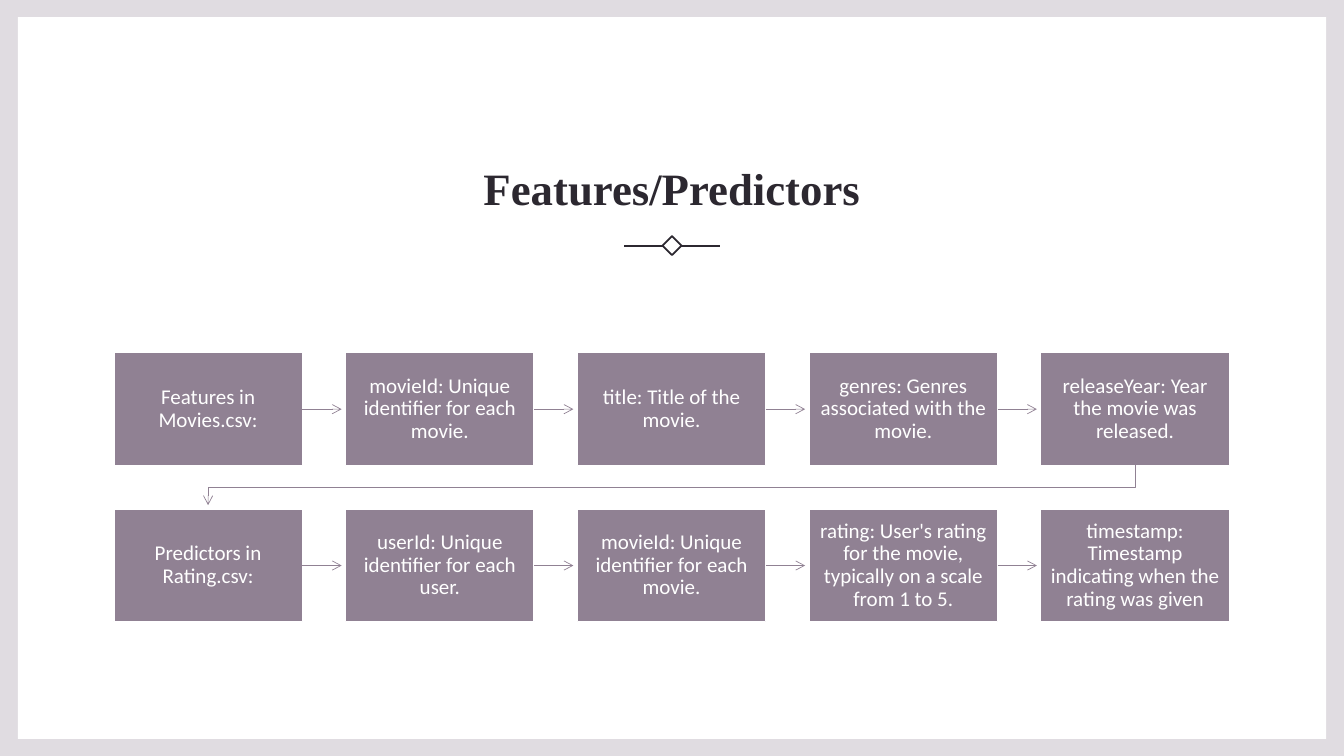
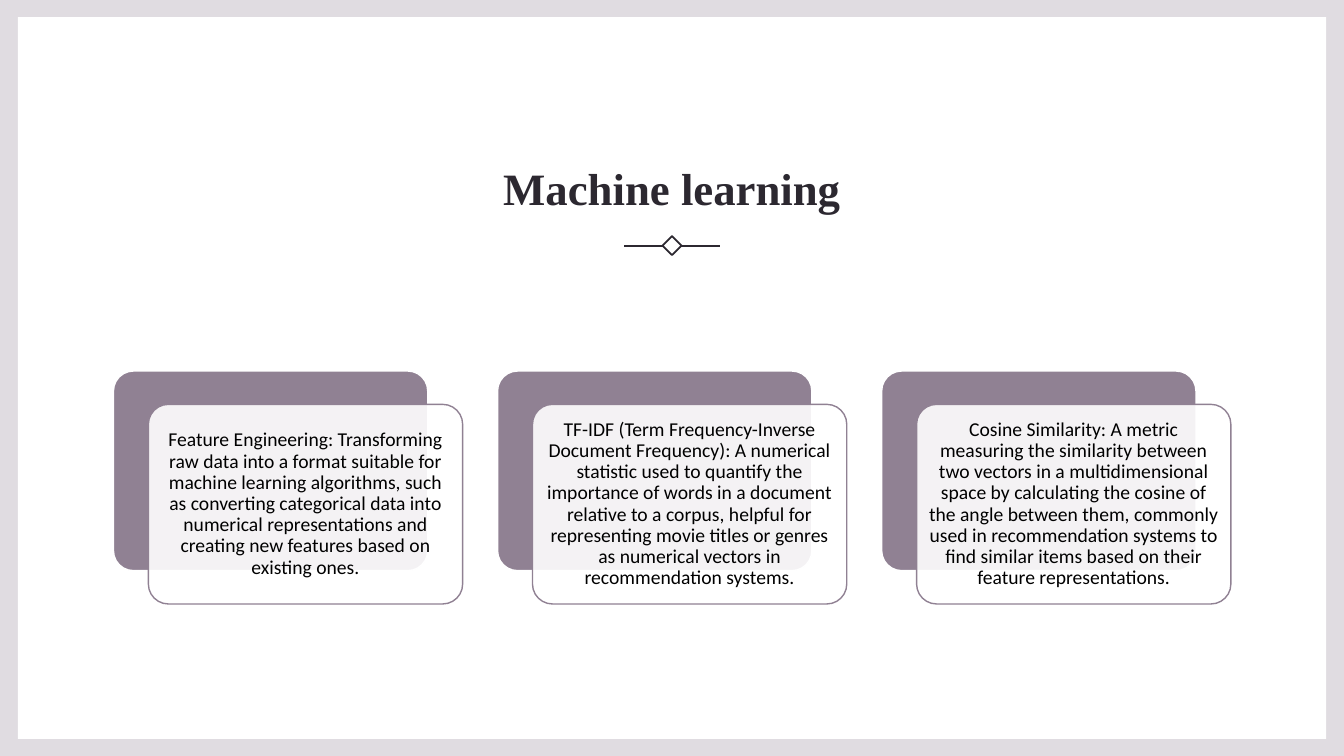
from dataclasses import dataclass

import lxml.etree
import pptx
import pptx.dml.color
import pptx.enum.shapes
import pptx.enum.text
import pptx.oxml.ns
import pptx.util

Cm = pptx.util.Cm
Pt = pptx.util.Pt
RGB = pptx.dml.color.RGBColor.from_string
SHAPE = pptx.enum.shapes.MSO_SHAPE
ANCHOR = pptx.enum.text.MSO_ANCHOR
qn = pptx.oxml.ns.qn


@dataclass(frozen=True)
class Theme:
    frame: str = "E0DCE1"
    paper: str = "FFFFFF"
    ink: str = "2C2830"
    accent: str = "908193"
    card_text: str = "000000"
    title_font: str = "Times New Roman"
    body_font: str = "Calibri"
    title_size: float = 32
    step_size: float = 15
    card_size: float = 14
    ornament_line: float = 1.25
    outline: float = 1
    arrow_line: float = 0.5


THEME = Theme()
WIDTH, HEIGHT = 33.87, 19.05
LEFT = 2.87

FEATURE_ROWS = [
    [
        "Features in Movies.csv:",
        "movieId: Unique identifier for each movie.",
        "title: Title of the movie.",
        "genres: Genres associated with the movie.",
        "releaseYear: Year the movie was released.",
    ],
    [
        "Predictors in Rating.csv:",
        "userId: Unique identifier for each user.",
        "movieId: Unique identifier for each movie.",
        "rating: User's rating for the movie, typically on a scale from 1 to 5.",
        "timestamp: Timestamp indicating when the rating was given",
    ],
]
METHODS = [
    "Feature Engineering: Transforming raw data into a format suitable for "
    "machine learning algorithms, such as converting categorical data into "
    "numerical representations and creating new features based on existing ones.",
    "TF-IDF (Term Frequency-Inverse Document Frequency): A numerical statistic "
    "used to quantify the importance of words in a document relative to a corpus, "
    "helpful for representing movie titles or genres as numerical vectors in "
    "recommendation systems.",
    "Cosine Similarity: A metric measuring the similarity between two vectors in "
    "a multidimensional space by calculating the cosine of the angle between them, "
    "commonly used in recommendation systems to find similar items based on their "
    "feature representations.",
]


def set_line(line, color, width):
    line.color.rgb = RGB(color)
    line.width = Pt(width)


def add_box(slide, kind, x, y, w, h, fill=None, line=None, width=THEME.outline):
    sp = slide.shapes.add_shape(kind, Cm(x), Cm(y), Cm(w), Cm(h))
    sp.shadow.inherit = False
    if fill:
        sp.fill.solid()
        sp.fill.fore_color.rgb = RGB(fill)
    else:
        sp.fill.background()
    if line:
        set_line(sp.line, line, width)
    else:
        sp.line.fill.background()
    return sp


def write(sp, text, font, size, color, spacing, margins, anchor=ANCHOR.MIDDLE, bold=False):
    """Fill a shape with one centred paragraph; margins are (side, top and bottom) in cm."""
    tf = sp.text_frame
    tf.word_wrap = True
    tf.vertical_anchor = anchor
    tf.margin_left = tf.margin_right = Cm(margins[0])
    tf.margin_top = tf.margin_bottom = Cm(margins[1])
    p = tf.paragraphs[0]
    p.text = text
    p.alignment = pptx.enum.text.PP_ALIGN.CENTER
    p.line_spacing = spacing
    p.font.name = font
    p.font.size = Pt(size)
    p.font.bold = bold
    p.font.color.rgb = RGB(color)


def add_line(slide, x1, y1, x2, y2, color, width):
    line = slide.shapes.add_connector(
        pptx.enum.shapes.MSO_CONNECTOR.STRAIGHT, Cm(x1), Cm(y1), Cm(x2), Cm(y2)
    )
    set_line(line.line, color, width)
    lxml.etree.SubElement(line._element.spPr, qn("a:effectLst"))
    return line


def add_arrowhead(sp):
    ln = sp.line._get_or_add_ln()
    lxml.etree.SubElement(ln, qn("a:tailEnd"), type="arrow")


def set_alpha(sp, percent):
    color = sp._element.spPr.find(qn("a:solidFill"))[0]
    lxml.etree.SubElement(color, qn("a:alpha"), val=str(percent * 1000))


def add_ornament(slide):
    """Draw the small diamond between two short rules below the title."""
    cx, cy, side = WIDTH / 2, 6.19, 0.34
    diamond = add_box(slide, SHAPE.RECTANGLE, cx - side / 2, cy - side / 2, side, side,
                      line=THEME.ink, width=THEME.ornament_line)
    diamond.rotation = 45
    for sign in (1, -1):
        add_line(slide, cx + sign * 0.23, cy, cx + sign * 1.21, cy,
                 THEME.ink, THEME.ornament_line)


def add_titled_slide(prs, title):
    slide = prs.slides.add_slide(prs.slide_layouts[6])
    fill = slide.background.fill
    fill.solid()
    fill.fore_color.rgb = RGB(THEME.frame)
    mx, my = 0.45, 0.43
    add_box(slide, SHAPE.RECTANGLE, mx, my, WIDTH - 2 * mx, HEIGHT - 2 * my, THEME.paper)
    sp = slide.shapes.add_textbox(Cm(LEFT), Cm(2.67), Cm(WIDTH - 2 * LEFT), Cm(2.87))
    write(sp, title, THEME.title_font, THEME.title_size, THEME.ink, 1.1,
          (0.25, 0.13), ANCHOR.BOTTOM, bold=True)
    add_ornament(slide)
    return slide


def add_turn(slide, x1, y1, x2, y2):
    """Draw the bent arrow from the end of one row to the start of the next."""
    middle = y1 + 0.55
    builder = slide.shapes.build_freeform(Cm(x1), Cm(y1))
    builder.add_line_segments(
        [(Cm(x1), Cm(middle)), (Cm(x2), Cm(middle)), (Cm(x2), Cm(y2))], close=False
    )
    sp = builder.convert_to_shape()
    sp.shadow.inherit = False
    sp.fill.background()
    set_line(sp.line, THEME.accent, THEME.arrow_line)
    add_arrowhead(sp)


def add_step_rows(slide, rows):
    top, w, h = 8.89, 4.75, 2.84
    step_x, step_y, gap = 5.84, 3.94, 0.1
    for row, texts in enumerate(rows):
        y = top + row * step_y
        for col, text in enumerate(texts):
            x = LEFT + col * step_x
            box = add_box(slide, SHAPE.RECTANGLE, x, y, w, h, THEME.accent, THEME.paper)
            write(box, text, THEME.body_font, THEME.step_size, THEME.paper, 0.9, (0.23, 0.25))
            if col < len(texts) - 1:
                arrow = add_line(slide, x + w, y + h / 2, x + step_x - gap, y + h / 2,
                                 THEME.accent, THEME.arrow_line)
                arrow.begin_connect(box, 3)
                add_arrowhead(arrow)
        if row < len(rows) - 1:
            add_turn(slide, x + w / 2, y + h, LEFT + w / 2, y + step_y - gap)


def add_cards(slide, texts):
    left, top, w, h = 2.86, 9.35, 7.92, 5.03
    step, dx, dy = 9.68, 0.88, 0.84
    for i, text in enumerate(texts):
        x = left + i * step
        back = add_box(slide, SHAPE.ROUNDED_RECTANGLE, x, top, w, h, THEME.accent, THEME.paper)
        card = add_box(slide, SHAPE.ROUNDED_RECTANGLE, x + dx, top + dy, w, h,
                       THEME.paper, THEME.accent)
        set_alpha(card, 90)
        for sp in (back, card):
            sp.adjustments[0] = 0.1
        write(card, text, THEME.body_font, THEME.card_size, THEME.card_text, 0.9, (0.15, 0.15))


def main():
    prs = pptx.Presentation()
    prs.slide_width, prs.slide_height = Cm(WIDTH), Cm(HEIGHT)
    add_step_rows(add_titled_slide(prs, "Features/Predictors"), FEATURE_ROWS)
    add_cards(add_titled_slide(prs, "Machine learning"), METHODS)
    prs.save("out.pptx")


if __name__ == "__main__":
    main()
